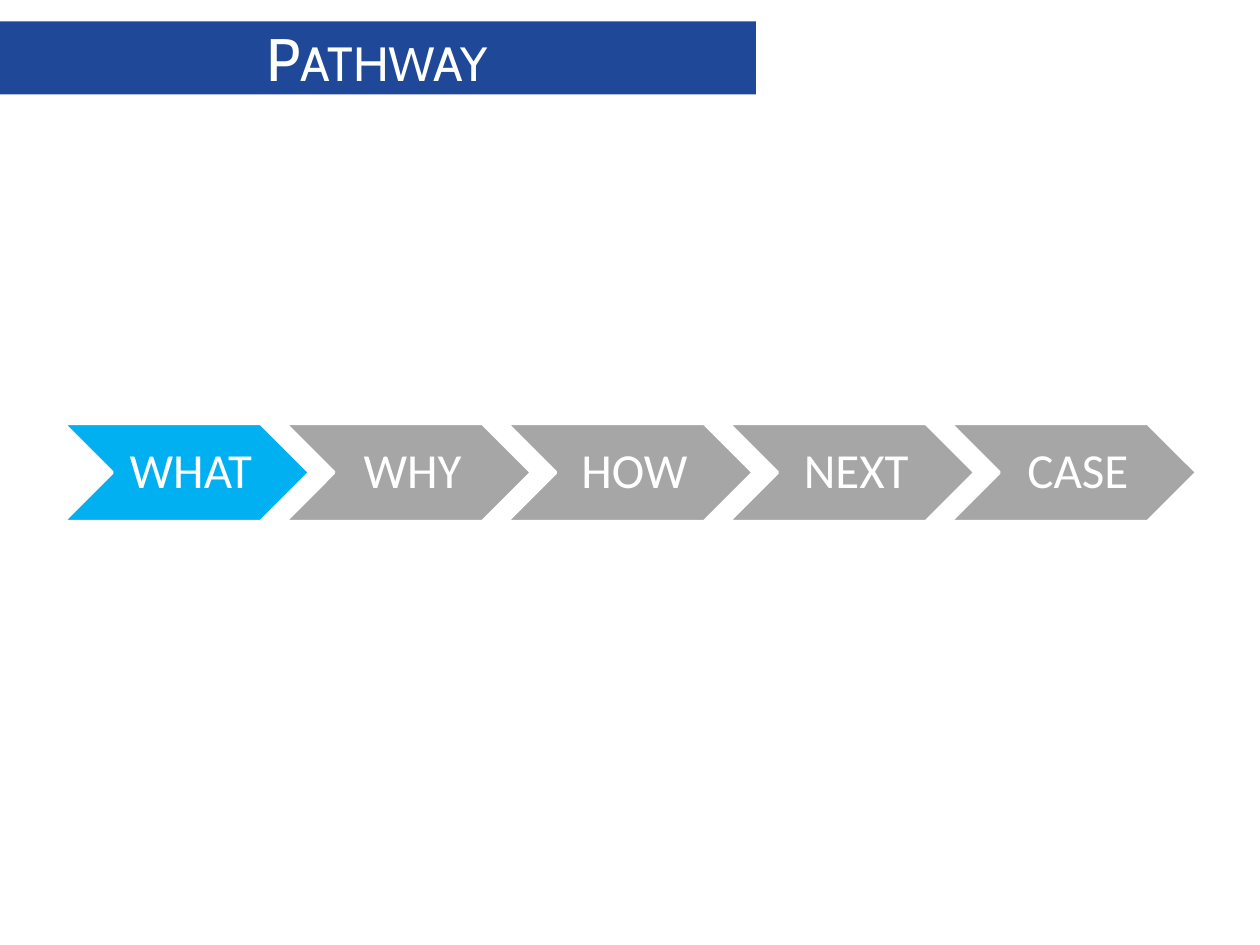
from pptx import Presentation
from pptx.dml.color import RGBColor
from pptx.enum.shapes import MSO_SHAPE as Shape
from pptx.enum.text import MSO_ANCHOR as Anchor, PP_ALIGN as Align
from pptx.util import Inches, Pt

STEPS = ["WHAT", "WHY", "HOW", "NEXT", "CASE"]
ACTIVE_STEP = "WHAT"
STEP_LEFT, STEP_TOP, STEP_PITCH = 0.5, 3.36, 1.76
STEP_WIDTH, STEP_HEIGHT = 1.96, 0.78
LABEL_OFFSET, LABEL_WIDTH = 0.39, 1.17


def color(hex_value):
    return RGBColor.from_string(hex_value)


def apply_format(target, values):
    for name, value in values.items():
        setattr(target, name, value)


class PathwaySlide:
    BANNER_FILL, ACTIVE_FILL, IDLE_FILL = "204898", "00B0F0", "A6A6A6"
    WHITE, BANNER_TEXT = "FFFFFF", "FFFFFB"
    BANNER_FONT = {"name": "Cabin", "size": Pt(34.2)}
    LABEL_FONT = {"name": "Calibri", "size": Pt(28)}
    FRAME = {"word_wrap": True, "vertical_anchor": Anchor.MIDDLE}
    LABEL_FRAME = FRAME | {
        "margin_left": Inches(0.12), "margin_right": Inches(0.04),
        "margin_top": Inches(0.04), "margin_bottom": Inches(0.04)}

    def __init__(self, presentation):
        self.slide = presentation.slides.add_slide(presentation.slide_layouts[6])

    def filled_shape(self, shapes, kind, box, fill):
        shape = shapes.add_shape(kind, *map(Inches, box))
        shape.shadow.inherit = False
        shape.fill.solid()
        shape.fill.fore_color.rgb = color(fill)
        return shape

    def centered_text(self, shape, text, frame, font, text_color):
        """Put one centred line in the shape and return its run."""
        apply_format(shape.text_frame, frame)
        paragraph = shape.text_frame.paragraphs[0]
        paragraph.alignment = Align.CENTER
        run = paragraph.add_run()
        run.text = text
        apply_format(run.font, font)
        run.font.color.rgb = color(text_color)
        return run

    def banner(self, text, box):
        shape = self.filled_shape(
            self.slide.shapes, Shape.RECTANGLE, box, self.BANNER_FILL)
        shape.line.fill.background()
        run = self.centered_text(
            shape, text, self.FRAME, self.BANNER_FONT, self.BANNER_TEXT)
        run._r.get_or_add_rPr().set("cap", "small")

    def step(self, shapes, text, left, active):
        chevron = self.filled_shape(
            shapes, Shape.CHEVRON, (left, STEP_TOP, STEP_WIDTH, STEP_HEIGHT),
            self.ACTIVE_FILL if active else self.IDLE_FILL)
        chevron.line.color.rgb = color(self.WHITE)
        chevron.line.width = Pt(2)
        label_box = (left + LABEL_OFFSET, STEP_TOP, LABEL_WIDTH, STEP_HEIGHT)
        label = shapes.add_textbox(*map(Inches, label_box))
        self.centered_text(
            label, text, self.LABEL_FRAME, self.LABEL_FONT, self.WHITE)
        label.text_frame.paragraphs[0].line_spacing = 0.9

    def pathway(self, steps, active_step):
        group = self.slide.shapes.add_group_shape()
        for index, text in enumerate(steps):
            left = STEP_LEFT + index * STEP_PITCH
            self.step(group.shapes, text, left, text == active_step)


def main():
    presentation = Presentation()
    presentation.slide_width = Inches(10)
    presentation.slide_height = Inches(7.5)
    slide = PathwaySlide(presentation)
    slide.banner("Pathway", (-0.02, 0.17, 6.02, 0.58))
    slide.pathway(STEPS, ACTIVE_STEP)
    presentation.save("out.pptx")


if __name__ == "__main__":
    main()
